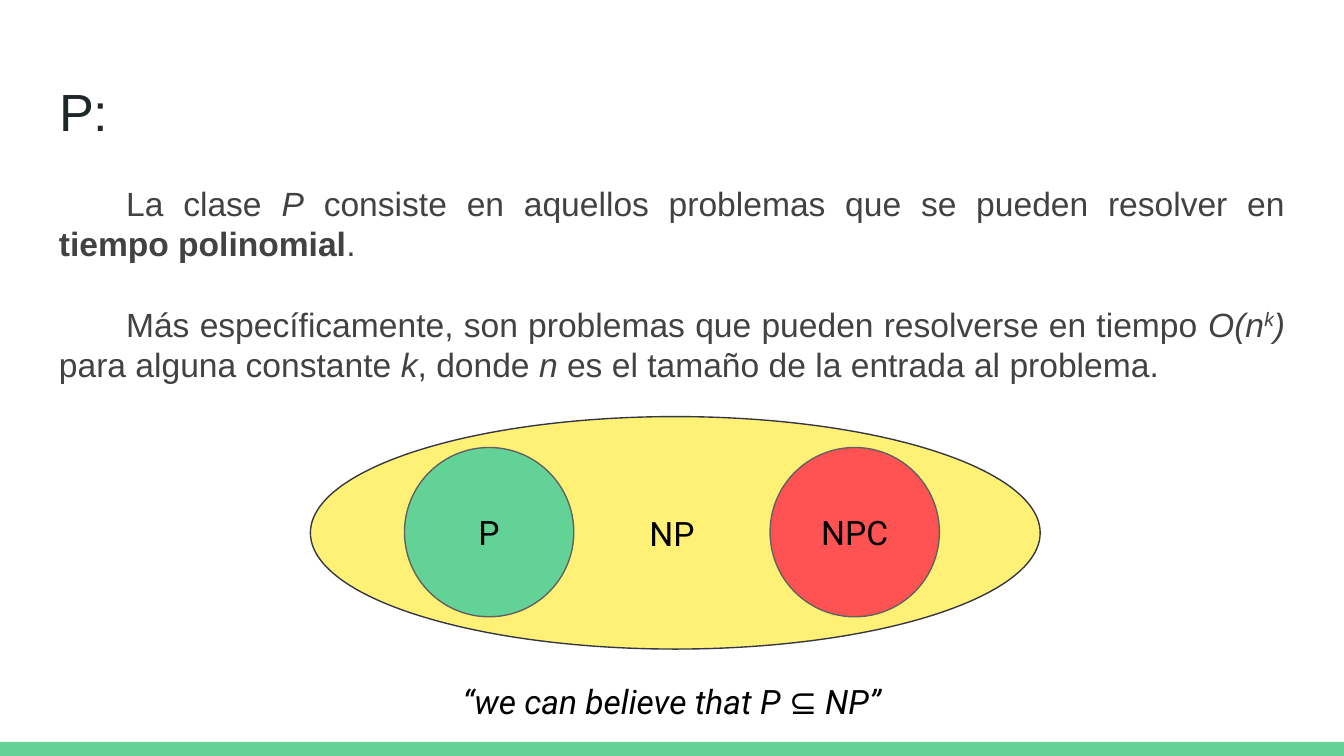
from pptx import Presentation
from pptx.dml.color import RGBColor
from pptx.enum.shapes import MSO_SHAPE
from pptx.enum.text import MSO_ANCHOR, MSO_AUTO_SIZE, PP_ALIGN
from pptx.util import Inches, Pt

COLORS = {
    "title": "202729", "body": "424242", "label": "000000",
    "green": "63D297", "yellow": "FFF176", "red": "FF5252",
    "dark_line": "353744", "gray_line": "616161",
}
TITLE = "P:"
BODY = [
    [("La clase ", ""), ("P", "italic"),
     (" consiste en aquellos problemas que se pueden resolver en ", ""),
     ("tiempo polinomial", "bold"), (".", "")],
    [("Más específicamente, son problemas que pueden resolverse en tiempo ", ""),
     ("O(n", "italic"), ("k", "italic superscript"), (")", "italic"),
     (" para alguna constante ", ""), ("k", "italic"), (", donde ", ""),
     ("n", "italic"), (" es el tamaño de la entrada al problema.", "")],
]
ELLIPSES = [
    ("", (2.31, 3.1, 5.43, 1.73), "yellow", "dark_line"),
    ("P", (3.01, 3.33, 1.26, 1.26), "green", "gray_line"),
    ("NPC", (5.73, 3.33, 1.26, 1.26), "red", "gray_line"),
]
CAPTIONS = [
    ("NP", (4.62, 3.65, 0.76, 0.63), ""),
    ("“we can believe that P ⊆ NP”", (3.06, 4.97, 3.88, 0.49), "italic"),
]


def color(name):
    return RGBColor.from_string(COLORS[name])


def add_run(paragraph, text, size, font, color_name, style=""):
    run = paragraph.add_run()
    run.text = text
    run.font.size = Pt(size)
    run.font.name = font
    run.font.color.rgb = color(color_name)
    run.font.bold = "bold" in style
    run.font.italic = "italic" in style
    if "superscript" in style:
        run._r.get_or_add_rPr().set("baseline", "30000")


def set_frame(shape, anchor):
    frame = shape.text_frame
    frame.word_wrap = True
    frame.auto_size = MSO_AUTO_SIZE.NONE
    frame.vertical_anchor = anchor
    frame.margin_left = frame.margin_right = Inches(0.1)
    frame.margin_top = frame.margin_bottom = Inches(0.1)
    return frame


def add_label(shape, text, style=""):
    paragraph = set_frame(shape, MSO_ANCHOR.MIDDLE).paragraphs[0]
    paragraph.alignment = PP_ALIGN.CENTER
    add_run(paragraph, text, 18, "Roboto", "label", style)


def add_shape(slide, preset, box, fill, line=None):
    shape = slide.shapes.add_shape(preset, *map(Inches, box))
    shape.shadow.inherit = False
    shape.fill.solid()
    shape.fill.fore_color.rgb = color(fill)
    if line:
        shape.line.color.rgb = color(line)
        shape.line.width = Pt(0.75)
    else:
        shape.line.fill.background()
    return shape


def add_title(slide):
    title = slide.shapes.title
    title.left, title.top, title.width, title.height = map(Inches, (0.34, 0.49, 9.32, 0.63))
    paragraph = set_frame(title, MSO_ANCHOR.TOP).paragraphs[0]
    paragraph.alignment = PP_ALIGN.LEFT
    paragraph.line_spacing = 1.0
    add_run(paragraph, TITLE, 28, "Arial", "title")


def add_body(slide):
    body = slide.shapes.add_textbox(*map(Inches, (0.34, 1.26, 9.32, 1.7)))
    frame = set_frame(body, MSO_ANCHOR.TOP)
    for index, runs in enumerate(BODY):
        paragraph = frame.add_paragraph() if index else frame.paragraphs[0]
        paragraph.alignment = PP_ALIGN.JUSTIFY
        paragraph.line_spacing = 1.0
        paragraph.space_before = Pt(21.5 if index else 0)
        properties = paragraph._p.get_or_add_pPr()
        properties.set("marL", "0")
        properties.set("indent", str(Inches(0.5)))
        for text, style in runs:
            add_run(paragraph, text, 18, "Arial", "body", style)


def main():
    """Build the slide that defines the complexity class P."""
    presentation = Presentation()
    presentation.slide_width = Inches(10)
    presentation.slide_height = Inches(10) * 9 // 16
    slide = presentation.slides.add_slide(presentation.slide_layouts[5])
    add_shape(slide, MSO_SHAPE.RECTANGLE, (0, 5.52, 10, 0.11), "green")
    add_title(slide)
    add_body(slide)
    for text, box, fill, line in ELLIPSES:
        ellipse = add_shape(slide, MSO_SHAPE.OVAL, box, fill, line)
        if text:
            add_label(ellipse, text)
    for text, box, style in CAPTIONS:
        add_label(slide.shapes.add_textbox(*map(Inches, box)), text, style)
    presentation.save("out.pptx")


if __name__ == "__main__":
    main()
